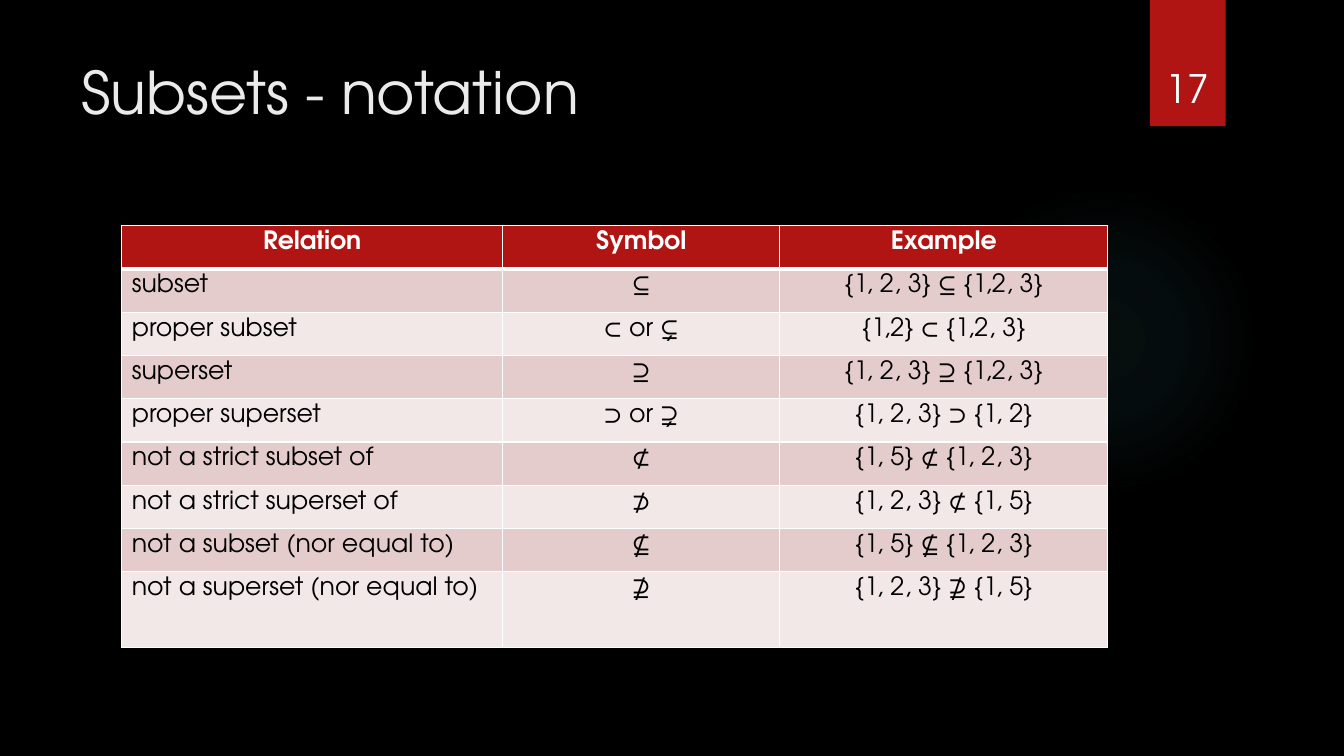
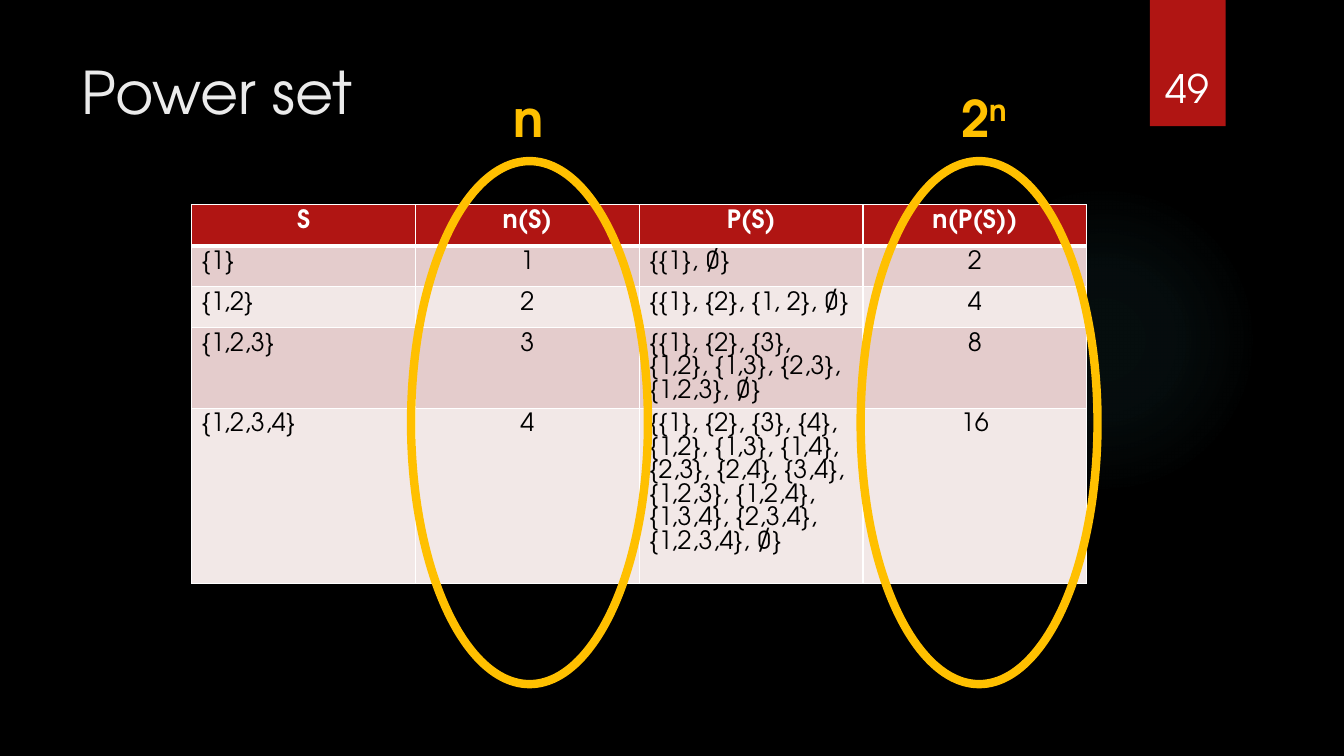
import lxml.etree
import pptx
import pptx.dml.color
import pptx.enum.shapes
import pptx.enum.text
import pptx.oxml.ns
import pptx.util
from pptx.util import Cm

Align = pptx.enum.text.PP_ALIGN
Anchor = pptx.enum.text.MSO_ANCHOR
AutoSize = pptx.enum.text.MSO_AUTO_SIZE
Shape = pptx.enum.shapes.MSO_SHAPE


def color(value):
    return pptx.dml.color.RGBColor.from_string(value)


def add_xml(parent, tag, **attributes):
    return lxml.etree.SubElement(parent, pptx.oxml.ns.qn(tag), attributes)


class Deck:
    FONT = "TeX Gyre Adventor"
    RED, WHITE, BLACK, GOLD, GLOW = "B01513", "FFFFFF", "000000", "FFC000", "50B9C1"
    BANDS = ("E4CCCC", "F2E8E7")
    GLOW_STOPS = ((0, 7), (36, 6), (69, 0))  # position and opacity in percent
    FORMATS = {
        "title": {"size": 42, "color": "EBEBEB", "bold": False},
        "number": {"size": 28, "color": WHITE, "bold": False},
        "header": {"size": 18, "color": WHITE, "bold": True},
        "body": {"size": 18, "color": BLACK, "bold": False},
        "label": {"size": 36, "color": GOLD, "bold": True},
    }

    def __init__(self):
        self.presentation = pptx.Presentation()
        self.presentation.slide_width = Cm(33.87)
        self.presentation.slide_height = Cm(19.05)
        self.slide = None

    def add_slide(self, title, number):
        self.slide = self.presentation.slides.add_slide(self.presentation.slide_layouts[5])
        fill = self.slide.background.fill
        fill.solid()
        fill.fore_color.rgb = color(self.BLACK)
        self.add_glow(23.9, 4.65, 7.82)
        self.add_shape(Shape.RECTANGLE, (28.98, 0, 1.91, 3.18), fill=self.RED)
        self.set_title(title)
        self.add_text(str(number), (28.75, 0.81, 2.34, 2.13), "number",
                      align=Align.CENTER, vertical_anchor=Anchor.BOTTOM)

    def style_run(self, run, style):
        values = dict(self.FORMATS[style], name=self.FONT)
        run.font.color.rgb = color(values.pop("color"))
        values["size"] = pptx.util.Pt(values["size"])
        for name, value in values.items():
            setattr(run.font, name, value)

    def add_run(self, paragraph, text, style, align=Align.LEFT):
        paragraph.alignment = align
        run = paragraph.add_run()
        run.text = text
        self.style_run(run, style)
        return run

    def set_title(self, text):
        title = self.slide.shapes.title
        box = {"left": 1.8, "top": 1.27, "width": 26.14, "height": 3.89}
        for name, value in box.items():
            setattr(title, name, Cm(value))
        title.text_frame.vertical_anchor = Anchor.TOP
        title.text_frame.auto_size = AutoSize.NONE
        self.add_run(title.text_frame.paragraphs[0], text, "title")

    def add_text(self, text, box, style, align=Align.LEFT, superscript="", **frame_format):
        frame = self.slide.shapes.add_textbox(*map(Cm, box)).text_frame
        for name, value in {"word_wrap": True, **frame_format}.items():
            setattr(frame, name, value)
        paragraph = frame.paragraphs[0]
        self.add_run(paragraph, text, style, align)
        if superscript:
            run = self.add_run(paragraph, superscript, style, align)
            run._r.get_or_add_rPr().set("baseline", "30000")

    def add_shape(self, kind, box, fill=None, line=None, width=0):
        shape = self.slide.shapes.add_shape(kind, *map(Cm, box))
        shape.shadow.inherit = False
        for part, value in ((shape.fill, fill), (shape.line.fill, line)):
            if value:
                part.solid()
                part.fore_color.rgb = color(value)
            else:
                part.background()
        if line:
            shape.line.width = pptx.util.Pt(width)
        return shape

    def add_glow(self, left, top, size):
        shape = self.add_shape(Shape.OVAL, (left, top, size, size))
        properties = shape._element.spPr
        gradient = add_xml(properties, "a:gradFill", rotWithShape="1")
        stops = add_xml(gradient, "a:gsLst")
        for position, opacity in self.GLOW_STOPS:
            stop = add_xml(stops, "a:gs", pos=str(position * 1000))
            stop_color = add_xml(stop, "a:srgbClr", val=self.GLOW)
            add_xml(stop_color, "a:alpha", val=str(opacity * 1000))
        center = add_xml(gradient, "a:path", path="circle")
        add_xml(center, "a:fillToRect", l="50000", t="50000", r="50000", b="50000")
        properties.replace(properties.find(pptx.oxml.ns.qn("a:noFill")), gradient)

    def set_borders(self, cell, row):
        properties = cell._tc.get_or_add_tcPr()
        # The rule under the header row is thicker than the others
        widths = {"L": 1, "R": 1, "T": 3 if row == 1 else 1, "B": 3 if row == 0 else 1}
        for index, (side, width) in enumerate(widths.items()):
            line = add_xml(properties, "a:ln" + side, w=str(pptx.util.Pt(width)))
            add_xml(add_xml(line, "a:solidFill"), "a:srgbClr", val=self.WHITE)
            properties.insert(index, line)

    def add_table(self, left, top, widths, heights, rows, centered):
        table = self.slide.shapes.add_table(
            len(rows), len(widths), Cm(left), Cm(top), Cm(sum(widths)), Cm(sum(heights))).table
        for column, width in zip(table.columns, widths):
            column.width = Cm(width)
        for row, (height, texts) in enumerate(zip(heights, rows)):
            table.rows[row].height = Cm(height)
            for column, text in enumerate(texts):
                cell = table.cell(row, column)
                cell.fill.solid()
                cell.fill.fore_color.rgb = color(self.BANDS[(row - 1) % 2] if row else self.RED)
                self.set_borders(cell, row)
                paragraph = cell.text_frame.paragraphs[0]
                paragraph.line_spacing = pptx.util.Pt(16.8)
                align = Align.CENTER if row == 0 or column in centered else Align.LEFT
                self.add_run(paragraph, text, "body" if row else "header", align)


def main():
    deck = Deck()

    # Subset notation
    deck.add_slide("Subsets - notation", 17)
    relations = [
        ("Relation", "Symbol", "Example"),
        ("subset", "⊆", "{1, 2, 3} ⊆ {1,2, 3}"),
        ("proper subset", "⊂ or ⊊", "{1,2} ⊂ {1,2, 3}"),
        ("superset", "⊇", "{1, 2, 3} ⊇ {1,2, 3}"),
        ("proper superset", "⊃ or ⊋", "{1, 2, 3} ⊃ {1, 2}"),
        ("not a strict subset of", "⊄", "{1, 5} ⊄ {1, 2, 3}"),
        ("not a strict superset of", "⊅", "{1, 2, 3} ⊄ {1, 5}"),
        ("not a subset (nor equal to)", "⊈", "{1, 5} ⊈ {1, 2, 3}"),
        ("not a superset (nor equal to)", "⊉", "{1, 2, 3} ⊉ {1, 5}"),
    ]
    deck.add_table(3.07, 5.69, [9.6, 6.98, 8.27], [1.09] * 8 + [1.91], relations, (1, 2))

    # Power set sizes
    deck.add_slide("Power set", 49)
    power_sets = [
        ("S", "n(S)", "P(S)", "n(P(S))"),
        ("{1}", "1", "{{1}, ∅}", "2"),
        ("{1,2}", "2", "{{1}, {2}, {1, 2}, ∅}", "4"),
        ("{1,2,3}", "3", "{{1}, {2}, {3}, {1,2}, {1,3}, {2,3}, {1,2,3}, ∅}", "8"),
        ("{1,2,3,4}", "4",
         "{{1}, {2}, {3}, {4}, {1,2}, {1,3}, {1,4}, {2,3}, {2,4}, {3,4}, "
         "{1,2,3}, {1,2,4}, {1,3,4}, {2,3,4}, {1,2,3,4}, ∅}", "16"),
    ]
    deck.add_table(4.83, 5.16, [5.64] * 4, [1.03] * 3 + [2.03, 4.42], power_sets, (1, 3))

    # Rings around the two counts, with their labels
    for ring_left in (10.36, 21.69):
        deck.add_shape(Shape.OVAL, (ring_left, 4.06, 5.97, 13.18), line=deck.GOLD, width=6)
    for text, superscript, left, width in (("n", "", 12.7, 1.3), ("2", "n", 23.98, 1.75)):
        deck.add_text(text, (left, 2.06, width, 1.8), "label", superscript=superscript,
                      word_wrap=False, auto_size=AutoSize.SHAPE_TO_FIT_TEXT)

    deck.presentation.save("out.pptx")


if __name__ == "__main__":
    main()
